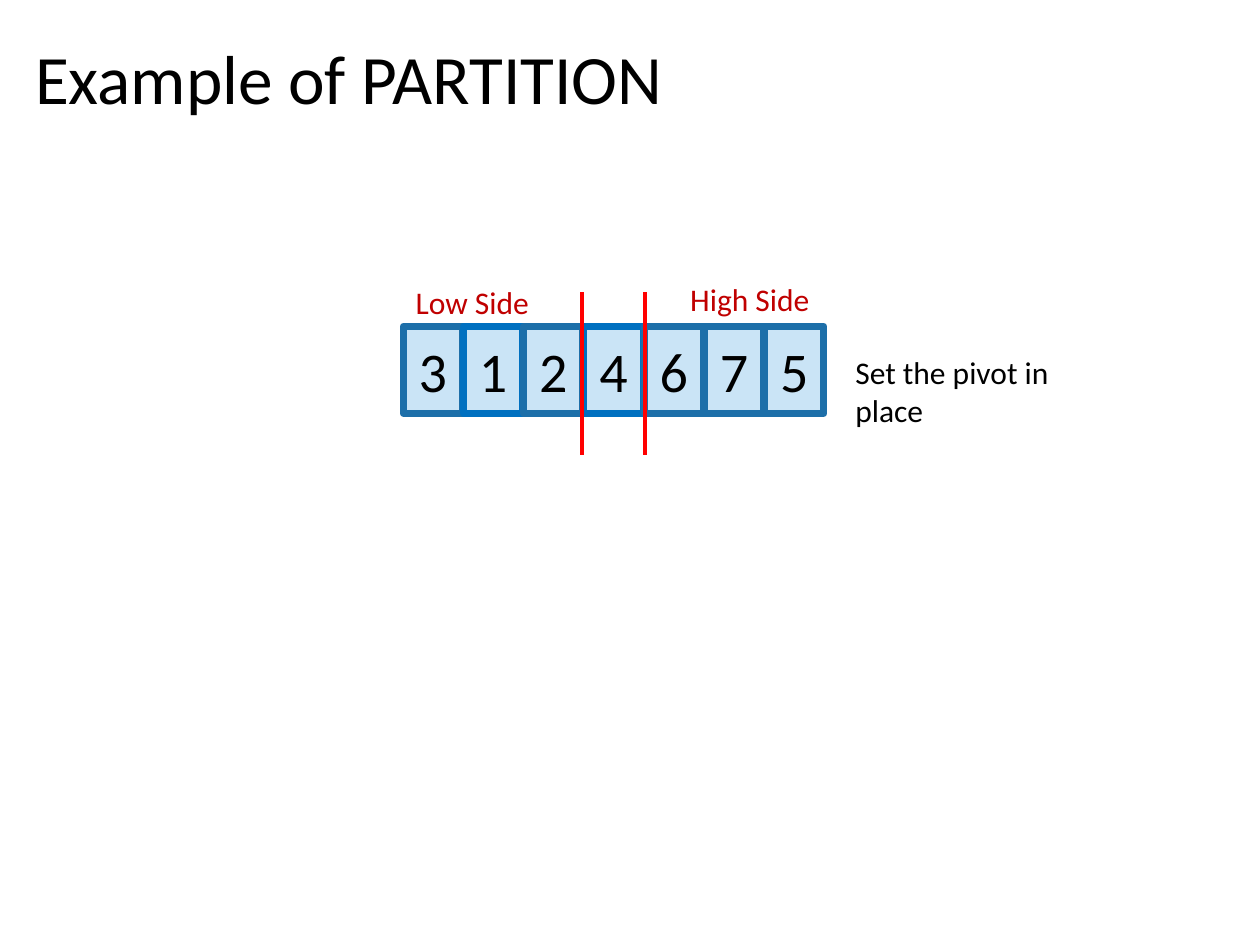
from lxml import etree
from pptx import Presentation
from pptx.dml.color import RGBColor
from pptx.enum.shapes import MSO_CONNECTOR, MSO_SHAPE
from pptx.enum.text import MSO_ANCHOR, PP_ALIGN
from pptx.oxml.ns import qn
from pptx.util import Inches, Pt

RECTANGLE, STRAIGHT = MSO_SHAPE.RECTANGLE, MSO_CONNECTOR.STRAIGHT
LEFT, CENTER = PP_ALIGN.LEFT, PP_ALIGN.CENTER
TOP, MIDDLE = MSO_ANCHOR.TOP, MSO_ANCHOR.MIDDLE

FONT = "Calibri"
BLACK, RED, DARK_RED = "000000", "FF0000", "C00000"
CELL_FILL, CELL_EDGE, SWAPPED_EDGE = "CAE4F6", "1D6FA9", "0070C0"

VALUES = [3, 1, 2, 4, 6, 7, 5]
SWAPPED = {1, 4}

# Array geometry in inches
ARRAY_LEFT, ARRAY_TOP, LAST_CELL_LEFT = 3.2, 2.59, 6.07
CELL_WIDTH, CELL_HEIGHT = 0.47, 0.69
PITCH = (LAST_CELL_LEFT - ARRAY_LEFT) / (len(VALUES) - 1)
ARRAY_RIGHT = LAST_CELL_LEFT + CELL_WIDTH
PIVOT_BOUNDS = (4.62, 5.12)
BOUND_TOP, BOUND_BOTTOM = 2.32, 3.61

TITLE = ("Example of PARTITION", (0.18, 0.32, 8.62, 0.66),
         dict(size=39.6, anchor=MIDDLE, spacing=0.9))
LABELS = [
    ("Set the pivot in place", (ARRAY_RIGHT + 0.15, 2.75, 2.15, 0.71), {}),
    ("Low Side", (ARRAY_LEFT, 2.2, 1.11, 0.4), dict(color=DARK_RED, wrap=False)),
    ("High Side", (ARRAY_RIGHT - 1.16, 2.17, 1.16, 0.4), dict(color=DARK_RED, wrap=False)),
]


def rgb(value):
    return RGBColor.from_string(value)


def write(shape, text, size=18, color=BLACK, align=LEFT, anchor=TOP, wrap=True, spacing=None):
    frame = shape.text_frame
    frame.word_wrap, frame.vertical_anchor = wrap, anchor
    para = frame.paragraphs[0]
    para.alignment, para.line_spacing = align, spacing
    span = para.add_run()
    span.text = text
    span.font.name, span.font.size = FONT, Pt(size)
    span.font.color.rgb = rgb(color)


def add_label(slide, text, place, style):
    write(slide.shapes.add_textbox(*map(Inches, place)), text, **style)


def add_cell(slide, index, value):
    left = ARRAY_LEFT + index * PITCH
    cell = slide.shapes.add_shape(
        RECTANGLE, *map(Inches, (left, ARRAY_TOP, CELL_WIDTH, CELL_HEIGHT)))
    cell.shadow.inherit = False
    cell.fill.solid()
    cell.fill.fore_color.rgb = rgb(CELL_FILL)
    cell.line.color.rgb = rgb(SWAPPED_EDGE if value in SWAPPED else CELL_EDGE)
    cell.line.width = Pt(4)
    write(cell, str(value), size=32, align=CENTER, anchor=MIDDLE)


def add_bound(slide, x):
    bound = slide.shapes.add_connector(
        STRAIGHT, *map(Inches, (x, BOUND_TOP, x, BOUND_BOTTOM)))
    bound.line.color.rgb = rgb(RED)
    bound.line.width = Pt(2)
    etree.SubElement(bound._element.spPr, qn("a:effectLst"))


def main():
    deck = Presentation()
    deck.slide_width, deck.slide_height = Inches(10), Inches(7.5)
    slide = deck.slides.add_slide(deck.slide_layouts[6])
    add_label(slide, *TITLE)
    for index, value in enumerate(VALUES):
        add_cell(slide, index, value)
    for x in PIVOT_BOUNDS:
        add_bound(slide, x)
    for label in LABELS:
        add_label(slide, *label)
    deck.save("out.pptx")


if __name__ == "__main__":
    main()
